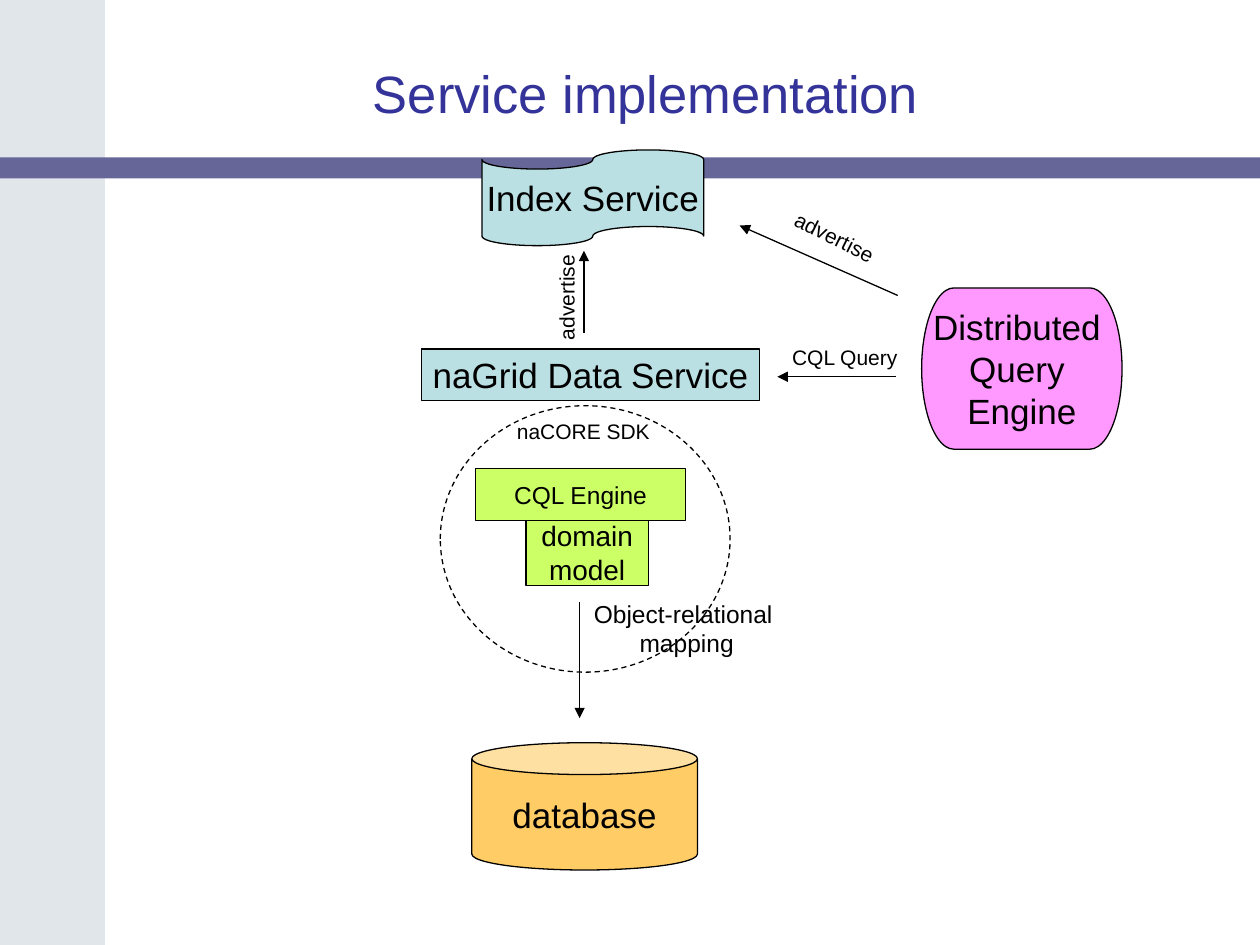
from pptx import Presentation
from pptx.dml.color import RGBColor
from pptx.enum.dml import MSO_LINE
from pptx.enum.shapes import MSO_CONNECTOR, MSO_SHAPE
from pptx.enum.text import MSO_ANCHOR, PP_ALIGN
from pptx.oxml.ns import qn
from pptx.util import Inches, Pt
from lxml.etree import SubElement

COLUMNS, ROWS = 100, 75
BLACK, BLUE, LIME, AMBER, PINK = "000000", "BBE0E3", "CCFF66", "FFCC66", "FF99FF"
SIDEBAR, BAND, TITLE = "E1E6EB", "666699", "333399"


def color(value):
    """Turn a hex string into a colour."""
    return RGBColor.from_string(value)


def write(shape, text, size=20, ink=BLACK, wrap=False):
    """Put centred text into a shape; a newline is a line break."""
    frame = shape.text_frame
    frame.word_wrap = wrap
    frame.vertical_anchor = MSO_ANCHOR.MIDDLE
    paragraph = frame.paragraphs[0]
    paragraph.text = text.replace("\n", "\v")
    paragraph.alignment = PP_ALIGN.CENTER
    for run in paragraph.runs:
        run.font.name = "Arial"
        run.font.size = Pt(size)
        run.font.color.rgb = color(ink)


class Diagram:
    """Holds the slide, its grid and the line style."""

    line_width = Pt(0.74)

    def __init__(self, presentation):
        """Add a blank slide and measure its grid cells."""
        self.slide = presentation.slides.add_slide(presentation.slide_layouts[6])
        self.column = presentation.slide_width / COLUMNS
        self.row = presentation.slide_height / ROWS

    def place(self, *lengths):
        """Turn alternating columns and rows into slide lengths."""
        return [round(length * (self.row if index % 2 else self.column))
                for index, length in enumerate(lengths)]

    def outline(self, line):
        """Apply the black line style."""
        line.color.rgb = color(BLACK)
        line.width = self.line_width

    def box(self, kind, area, fill=None, text=None, outlined=True, **style):
        """Add a preset shape, with text if given."""
        shape = self.slide.shapes.add_shape(kind, *self.place(*area))
        shape.shadow.inherit = False
        if fill:
            shape.fill.solid()
            shape.fill.fore_color.rgb = color(fill)
        else:
            shape.fill.background()
        if outlined:
            self.outline(shape.line)
        else:
            shape.line.fill.background()
        if text:
            write(shape, text, **style)
        return shape

    def label(self, text, area, rotation=0, **style):
        """Add a label on a bare rectangle, which keeps its lines unwrapped."""
        label = self.box(MSO_SHAPE.RECTANGLE, area, text=text, outlined=False, **style)
        label.rotation = rotation

    def arrow(self, start, end):
        """Add a straight arrow that points at its end."""
        arrow = self.slide.shapes.add_connector(
            MSO_CONNECTOR.STRAIGHT, *self.place(*start, *end))
        self.outline(arrow.line)
        properties = arrow._element.spPr
        SubElement(properties.find(qn("a:ln")), qn("a:tailEnd"), type="triangle")
        SubElement(properties, qn("a:effectLst"))


def build():
    """Build the slide and save it."""
    presentation = Presentation()
    presentation.slide_width, presentation.slide_height = Inches(10), Inches(7.5)
    diagram = Diagram(presentation)

    diagram.box(MSO_SHAPE.RECTANGLE, (0, 0, 8.33, ROWS), SIDEBAR, outlined=False)
    band = diagram.box(MSO_SHAPE.ROUNDED_RECTANGLE, (0, 12.5, COLUMNS, 1.67),
                       BAND, outlined=False)
    band.adjustments[0] = 0.01
    diagram.label("Service implementation", (7.5, 3, 87.5, 8.7),
                  size=30, ink=TITLE, wrap=True)

    diagram.box(MSO_SHAPE.RECTANGLE, (41.75, 41.25, 9.7, 5.2), LIME,
                "domain\nmodel", size=16)
    boundary = diagram.box(MSO_SHAPE.OVAL, (34.95, 32.2, 23, 21.15))
    boundary.line.dash_style = MSO_LINE.DASH
    diagram.label("naCORE SDK", (39.7, 31.6, 13.2, 5.2), size=12)
    diagram.box(MSO_SHAPE.RECTANGLE, (37.75, 37.2, 16.65, 4.1), LIME,
                "CQL Engine", size=14)
    diagram.box(MSO_SHAPE.CAN, (37.45, 58.95, 17.9, 10.1), AMBER, "database")
    diagram.label("Object-relational \nmapping", (47.9, 47.8, 13.2, 4.1), size=14)

    diagram.box(MSO_SHAPE.FLOWCHART_PUNCHED_TAPE, (38.25, 11.9, 17.6, 7.6),
                BLUE, "Index Service")
    diagram.box(MSO_SHAPE.RECTANGLE, (33.45, 27.7, 26.85, 4.1),
                BLUE, "naGrid Data Service")
    diagram.box(MSO_SHAPE.FLOWCHART_TERMINATOR, (73.15, 22.85, 15.9, 12.8),
                PINK, "Distributed \nQuery \nEngine")

    for start, end in (
        ((46, 47.8), (46, 57)),
        ((46.35, 26.4), (46.35, 19.9)),
        ((71.1, 29.9), (61.7, 29.9)),
        ((71.25, 23.45), (58.7, 17.9)),
    ):
        diagram.arrow(start, end)

    for text, left, top, rotation in (
        ("advertise", 40.8, 22, 270),
        ("advertise", 62.1, 17.2, 26.4),
        ("CQL Query", 62.9, 26.7, 0),
    ):
        diagram.label(text, (left, top, 8.3, 3.2), rotation, size=12)

    presentation.save("out.pptx")


build()
